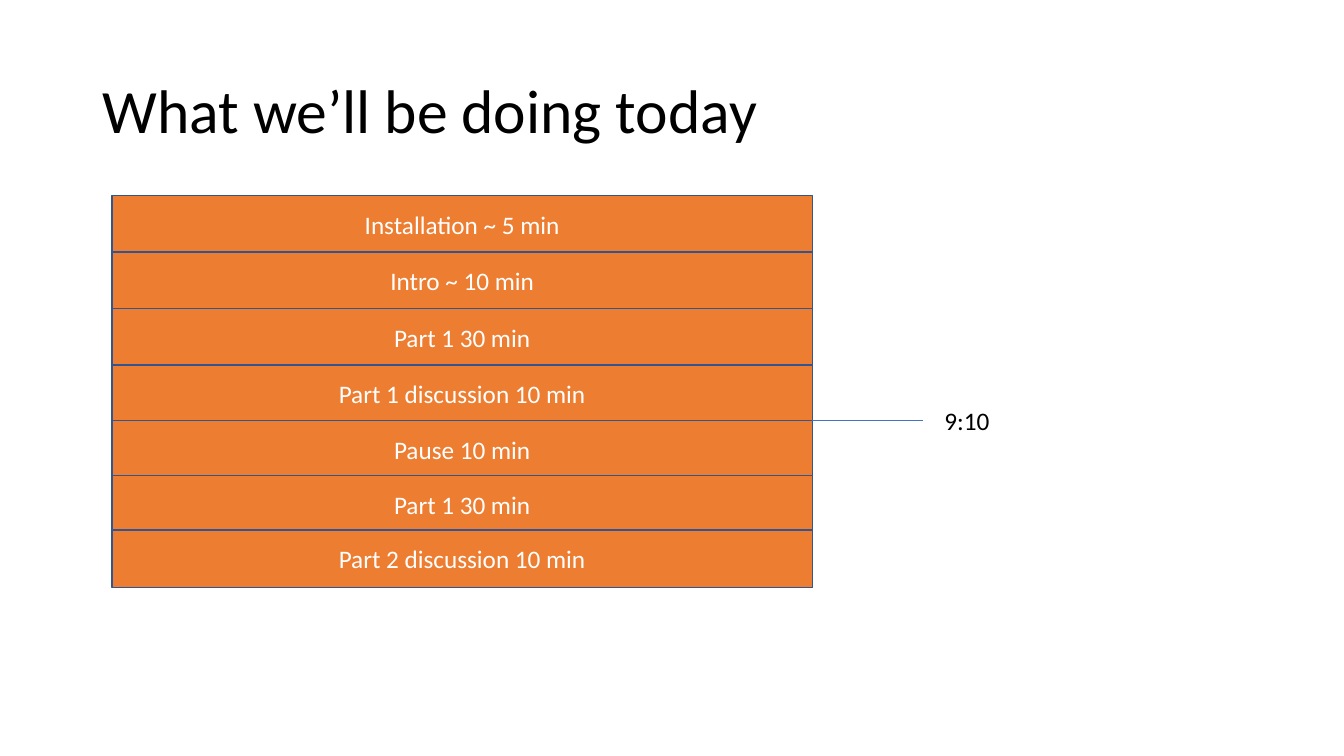
"""Build the slide with today's agenda as a stack of time blocks."""
from lxml.etree import SubElement
from pptx import Presentation
from pptx.dml.color import RGBColor
from pptx.enum.shapes import MSO_CONNECTOR as CONN, MSO_SHAPE as SHAPE
from pptx.enum.text import MSO_ANCHOR as ANCHOR, MSO_AUTO_SIZE as FIT, PP_ALIGN as ALIGN
from pptx.oxml.ns import qn
from pptx.util import Inches, Pt

COLORS = {"text": "000000", "block": "ED7D31", "border": "325491",
          "label": "FFFFFF", "marker": "4472C4"}
LEFT, WIDTH, HEIGHT = 1.11, 6.95, 0.57
TOP, BREAK = 1.94, 4.17
SESSIONS = [
    (TOP, 0.56, ["Installation ~ 5 min", "Intro ~ 10 min", "Part 1 30 min",
                 "Part 1 discussion 10 min"]),
    (BREAK, 0.545, ["Pause 10 min", "Part 1 30 min", "Part 2 discussion 10 min"]),
]


def rgb(name):
    return RGBColor.from_string(COLORS[name])


def write(s, text, size=18, color="text", align=ALIGN.LEFT, anchor=ANCHOR.MIDDLE,
          wrap=True, spacing=1.0):
    tf = s.text_frame
    tf.word_wrap = wrap
    tf.vertical_anchor = anchor
    p = tf.paragraphs[0]
    p.alignment = align
    p.line_spacing = spacing
    r = p.add_run()
    r.text = text
    r.font.name = "Calibri"
    r.font.size = Pt(size)
    r.font.color.rgb = rgb(color)


prs = Presentation()
prs.slide_width, prs.slide_height = Inches(13.333), Inches(7.5)
slide = prs.slides.add_slide(prs.slide_layouts[6])

title = slide.shapes.add_textbox(Inches(0.92), Inches(0.4), Inches(11.5), Inches(1.45))
write(title, "What we’ll be doing today", size=44, spacing=0.9)

for start, pitch, topics in SESSIONS:
    for i, topic in enumerate(topics):
        s = slide.shapes.add_shape(SHAPE.RECTANGLE, Inches(LEFT), Inches(start + i * pitch),
                                   Inches(WIDTH), Inches(HEIGHT))
        s.shadow.inherit = False
        s.fill.solid()
        s.fill.fore_color.rgb = rgb("block")
        s.line.color.rgb = rgb("border")
        s.line.width = Pt(1)
        write(s, topic, color="label", align=ALIGN.CENTER)

marker = slide.shapes.add_connector(CONN.STRAIGHT, Inches(LEFT + WIDTH), Inches(BREAK),
                                    Inches(9.16), Inches(BREAK))
marker.line.color.rgb = rgb("marker")
marker.line.width = Pt(0.5)
SubElement(marker._element.spPr, qn("a:effectLst"))

clock = slide.shapes.add_textbox(Inches(9.27), Inches(BREAK - 0.2), Inches(0.65), Inches(0.4))
write(clock, "9:10", anchor=ANCHOR.TOP, wrap=False)
clock.text_frame.auto_size = FIT.SHAPE_TO_FIT_TEXT

prs.save("out.pptx")
